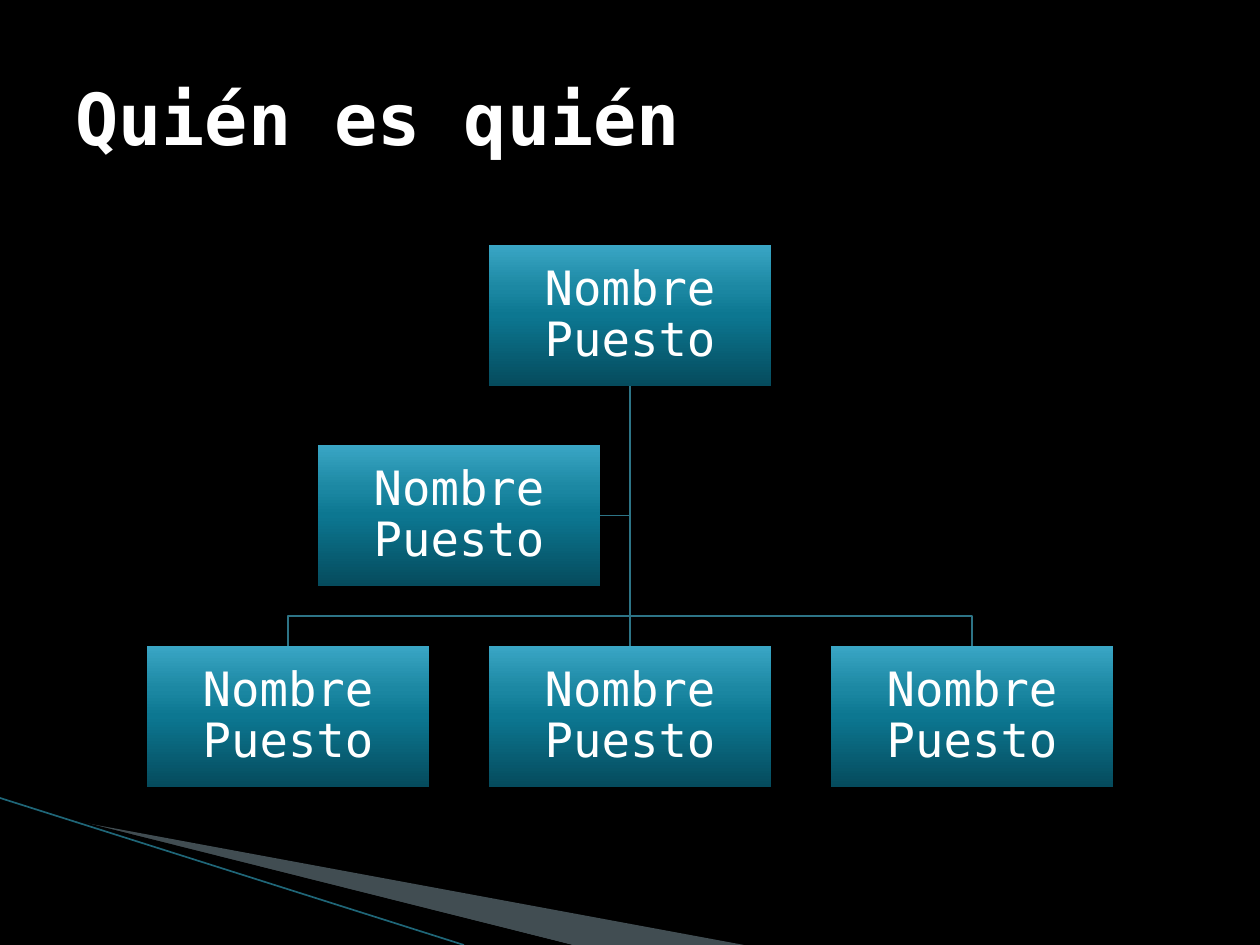
from lxml import etree
from pptx import Presentation
from pptx.dml.color import RGBColor
from pptx.enum.shapes import MSO_CONNECTOR, MSO_SHAPE
from pptx.enum.text import MSO_ANCHOR, PP_ALIGN
from pptx.oxml.ns import qn
from pptx.util import Pt

STRAIGHT = MSO_CONNECTOR.STRAIGHT
RECTANGLE = MSO_SHAPE.RECTANGLE
MIDDLE = MSO_ANCHOR.MIDDLE
LEFT, CENTER = PP_ALIGN.LEFT, PP_ALIGN.CENTER
TOP_SIDE, BOTTOM_SIDE, RIGHT_SIDE = 0, 2, 3

WIDTH, HEIGHT = 1260, 945
BOX_W, BOX_H = 282, 141
GAP = 60
CENTER_X = WIDTH // 2
ROW_TOPS = (245, 445, 646)


def px(n):
    return round(n * 914400 / 126)


def rgb(value):
    return RGBColor.from_string(value)


class Deck:
    font = "DejaVu Sans Mono"
    text_color = "FFFFFF"
    background = "000000"
    line_color = "2D7486"
    gradient = ((0, "054B5D"), (50, "0C7791"), (70, "1C88A3"), (100, "3AA6C5"))

    def __init__(self):
        self.prs = Presentation()
        self.prs.slide_width, self.prs.slide_height = px(WIDTH), px(HEIGHT)
        self.s = self.prs.slides.add_slide(self.prs.slide_layouts[6])
        fill = self.s.background.fill
        fill.solid()
        fill.fore_color.rgb = rgb(self.background)

    def add_text(self, sp, lines, size, align, bold=False):
        tf = sp.text_frame
        tf.word_wrap = True
        tf.vertical_anchor = MIDDLE
        p = tf.paragraphs[0]
        p.alignment = align
        for i, line in enumerate(lines):
            if i:
                p.add_line_break()
            r = p.add_run()
            r.text = line
            r.font.name = self.font
            r.font.size = Pt(size)
            r.font.bold = bold
            r.font.color.rgb = rgb(self.text_color)
        return p

    def title(self, text, x, y, w, h):
        sp = self.s.shapes.add_textbox(px(x), px(y), px(w), px(h))
        self.add_text(sp, [text], 41, LEFT, bold=True)

    def box(self, center_x, top, lines):
        """Add one gradient box of the organisation chart."""
        sp = self.s.shapes.add_shape(
            RECTANGLE, px(center_x - BOX_W // 2), px(top), px(BOX_W), px(BOX_H))
        sp.shadow.inherit = False
        sp.line.fill.background()
        sp.fill.gradient()
        sp.fill.gradient_angle = 90
        stops = sp._element.spPr.find(".//" + qn("a:gsLst"))
        stops.clear()
        for percent, color in self.gradient:
            gs = etree.SubElement(stops, qn("a:gs"), pos=str(percent * 1000))
            etree.SubElement(gs, qn("a:srgbClr"), val=color)
        tf = sp.text_frame
        tf.margin_left = tf.margin_right = px(2)
        tf.margin_top = tf.margin_bottom = px(2)
        self.add_text(sp, lines, 27, CENTER).line_spacing = 0.9
        return sp

    def line(self, x1, y1, x2, y2, color=line_color, width=0.75):
        c = self.s.shapes.add_connector(STRAIGHT, px(x1), px(y1), px(x2), px(y2))
        c.line.color.rgb = rgb(color)
        c.line.width = Pt(width)
        etree.SubElement(c._element.spPr, qn("a:effectLst"))
        return c

    def outline(self, points, closed):
        (x, y), *rest = points
        builder = self.s.shapes.build_freeform(px(x), px(y))
        builder.add_line_segments([(px(a), px(b)) for a, b in rest], close=closed)
        sp = builder.convert_to_shape()
        sp.shadow.inherit = False
        return sp

    def wedge(self, points, color, opacity=100):
        sp = self.outline(points, True)
        sp.line.fill.background()
        sp.fill.solid()
        sp.fill.fore_color.rgb = rgb(color)
        if opacity < 100:
            clr = sp._element.spPr.find(".//" + qn("a:srgbClr"))
            etree.SubElement(clr, qn("a:alpha"), val=str(opacity * 1000))

    def branch(self, points):
        sp = self.outline(points, False)
        sp.fill.background()
        sp.line.color.rgb = rgb(self.line_color)
        sp.line.width = Pt(0.75)


def main():
    deck = Deck()
    deck.wedge([(69, 820), (744, HEIGHT), (572, HEIGHT), (69, 819)], "A3C2CE", 40)
    deck.wedge([(67, 818), (572, HEIGHT), (464, HEIGHT), (68, 819)], deck.background)
    deck.line(0, 798, 464, HEIGHT, "1F6678", 0.95)

    lines = ["Nombre", "Puesto"]
    boss_top, assistant_top, team_top = ROW_TOPS
    step = BOX_W + GAP
    boss_bottom = boss_top + BOX_H
    bend_y = team_top - GAP // 2
    assistant_x = CENTER_X - step // 2
    assistant_mid = assistant_top + BOX_H // 2

    for x in (CENTER_X - step, CENTER_X + step):
        deck.branch([(CENTER_X, boss_bottom), (CENTER_X, bend_y),
                     (x, bend_y), (x, team_top)])

    boss = deck.box(CENTER_X, boss_top, lines)
    assistant = deck.box(assistant_x, assistant_top, lines)
    team = [deck.box(CENTER_X + i * step, team_top, lines) for i in (-1, 0, 1)]

    trunk = deck.line(CENTER_X, boss_bottom, CENTER_X, team_top)
    trunk.begin_connect(boss, BOTTOM_SIDE)
    trunk.end_connect(team[1], TOP_SIDE)
    side = deck.line(assistant_x + BOX_W // 2, assistant_mid, CENTER_X, assistant_mid)
    side.begin_connect(assistant, RIGHT_SIDE)
    side.end_y = side.begin_y

    deck.title("Quién es quién", 63, 38, 1134, 158)
    deck.prs.save("out.pptx")


if __name__ == "__main__":
    main()
